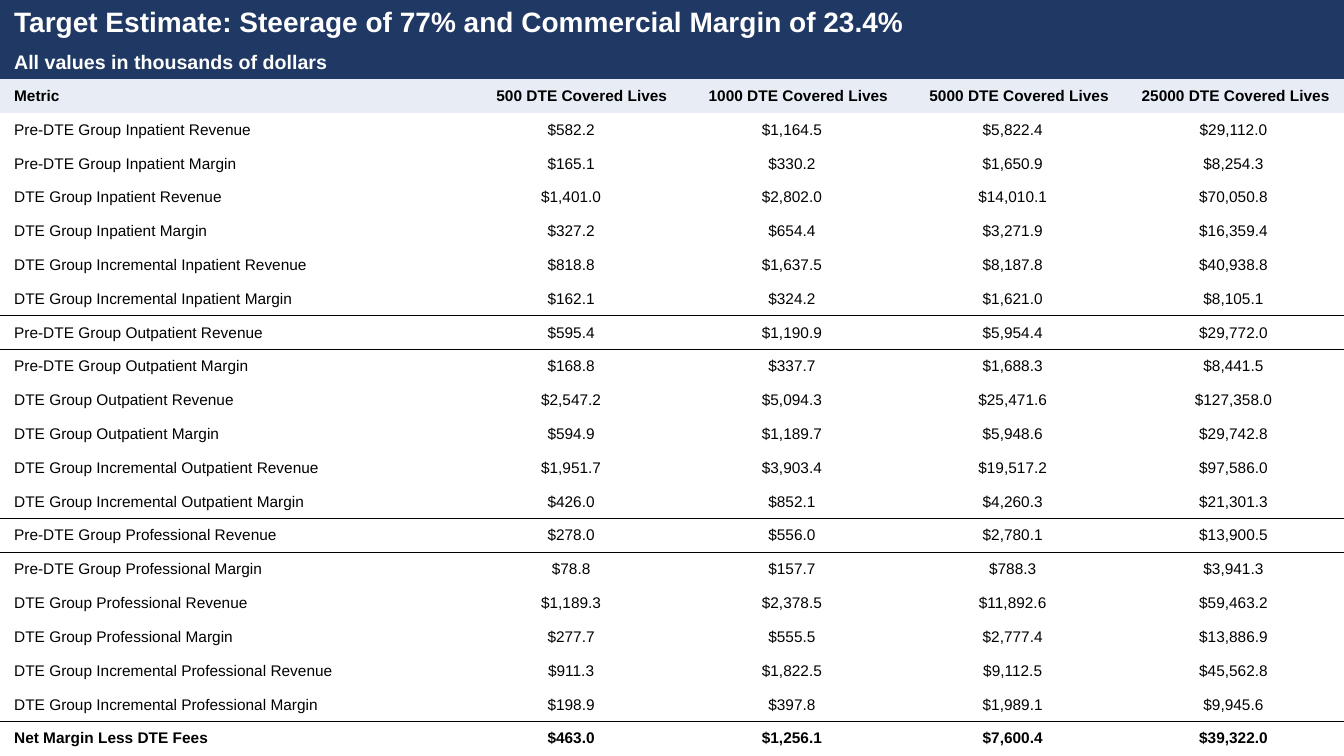
from itertools import product

from lxml import etree
from pptx import Presentation
from pptx.dml.color import RGBColor
from pptx.enum.text import MSO_ANCHOR, PP_ALIGN
from pptx.oxml.ns import qn
from pptx.util import Inches, Pt

LEFT, CENTER, RIGHT = PP_ALIGN.LEFT, PP_ALIGN.CENTER, PP_ALIGN.RIGHT
MIDDLE = MSO_ANCHOR.MIDDLE

COLORS = {"navy": "203864", "pale": "E7ECF5", "white": "FFFFFF", "black": "000000"}
PLAIN_TABLE_STYLE = "{2D5ABB26-0587-4C30-8999-92F81FD0307C}"
WIDTH, HEIGHT = 13.33, 7.5
METRIC_WIDTH = 4.57
TITLE_HEIGHT = 0.45

BANNERS = [
    ("Target Estimate: Steerage of 77% and Commercial Margin of 23.4%", 20),
    ("All values in thousands of dollars", 14),
]
COVERED_LIVES = [500, 1000, 5000, 25000]
SERVICES = ["Inpatient", "Outpatient", "Professional"]
STAGES = ["Pre-DTE Group", "DTE Group", "DTE Group Incremental"]
MEASURES = ["Revenue", "Margin"]
SERVICE_ROWS = len(STAGES) * len(MEASURES)
VALUES = [
    (582.2, 1164.5, 5822.4, 29112.0),
    (165.1, 330.2, 1650.9, 8254.3),
    (1401.0, 2802.0, 14010.1, 70050.8),
    (327.2, 654.4, 3271.9, 16359.4),
    (818.8, 1637.5, 8187.8, 40938.8),
    (162.1, 324.2, 1621.0, 8105.1),
    (595.4, 1190.9, 5954.4, 29772.0),
    (168.8, 337.7, 1688.3, 8441.5),
    (2547.2, 5094.3, 25471.6, 127358.0),
    (594.9, 1189.7, 5948.6, 29742.8),
    (1951.7, 3903.4, 19517.2, 97586.0),
    (426.0, 852.1, 4260.3, 21301.3),
    (278.0, 556.0, 2780.1, 13900.5),
    (78.8, 157.7, 788.3, 3941.3),
    (1189.3, 2378.5, 11892.6, 59463.2),
    (277.7, 555.5, 2777.4, 13886.9),
    (911.3, 1822.5, 9112.5, 45562.8),
    (198.9, 397.8, 1989.1, 9945.6),
    (463.0, 1256.1, 7600.4, 39322.0),
]


class SlideBuilder:
    font = "Arial"
    body_size = 11
    indent = Inches(0.14)

    def __init__(self, page):
        self.page = page

    def table(self, row_heights, column_widths):
        frame = self.page.shapes.add_table(
            len(row_heights), len(column_widths), 0, 0,
            Inches(sum(column_widths)), Inches(sum(row_heights)))
        for style in frame.element.iter(qn("a:tableStyleId")):
            style.text = PLAIN_TABLE_STYLE
        table = frame.table
        table.first_row = table.horz_banding = False
        for row, height in zip(table.rows, row_heights):
            row.height = Inches(height)
        for column, width in zip(table.columns, column_widths):
            column.width = Inches(width)
        return table

    def border(self, cell, side):
        line = etree.SubElement(cell._tc.get_or_add_tcPr(), qn(f"a:{side}"), w=str(Pt(1)))
        fill = etree.SubElement(line, qn("a:solidFill"))
        etree.SubElement(fill, qn("a:srgbClr"), val=COLORS["black"])

    def cell(self, cell, text, size=body_size, align=LEFT, bold=False,
             color="black", fill=None, borders=()):
        cell.margin_left = cell.margin_right = cell.margin_top = cell.margin_bottom = 0
        cell.vertical_anchor = MIDDLE
        for side in borders:
            self.border(cell, side)
        if fill:
            cell.fill.solid()
            cell.fill.fore_color.rgb = RGBColor.from_string(COLORS[fill])
        else:
            cell.fill.background()
        cell.text = text
        paragraph = cell.text_frame.paragraphs[0]
        properties = paragraph._p.get_or_add_pPr()
        properties.set("marL", str(self.indent))
        properties.set("marR", str(self.indent))
        paragraph.alignment = align
        paragraph.font.name = self.font
        paragraph.font.size = Pt(size)
        paragraph.font.bold = bold
        paragraph.font.color.rgb = RGBColor.from_string(COLORS[color])

    def row(self, table, index, texts, align, **style):
        for column, text in enumerate(texts):
            self.cell(table.cell(index, column), text,
                      align=align if column else LEFT, **style)

    def banner(self, table, index, text, size):
        first = table.cell(index, 0)
        first.merge(table.cell(index, len(table.columns) - 1))
        self.cell(first, text, size=size, bold=True, color="white", fill="navy")


def main():
    deck = Presentation()
    deck.slide_width, deck.slide_height = Inches(WIDTH), Inches(HEIGHT)
    builder = SlideBuilder(deck.slides.add_slide(deck.slide_layouts[6]))

    header_index = len(BANNERS)
    row_count = header_index + len(VALUES)
    row_height = (HEIGHT - TITLE_HEIGHT) / row_count
    value_width = (WIDTH - METRIC_WIDTH) / len(COVERED_LIVES)
    table = builder.table([TITLE_HEIGHT] + [row_height] * row_count,
                          [METRIC_WIDTH] + [value_width] * len(COVERED_LIVES))

    for index, (text, size) in enumerate(BANNERS):
        builder.banner(table, index, text, size)
    headings = ["Metric"] + [f"{lives} DTE Covered Lives" for lives in COVERED_LIVES]
    builder.row(table, header_index, headings, RIGHT, bold=True, fill="pale")

    metrics = [f"{stage} {service} {measure}"
               for service, stage, measure in product(SERVICES, STAGES, MEASURES)]
    metrics.append("Net Margin Less DTE Fees")
    last = len(metrics) - 1
    for index, (metric, values) in enumerate(zip(metrics, VALUES)):
        borders = []
        if index and index % SERVICE_ROWS == 0:
            borders.append("lnT")
        if (index + 1) % SERVICE_ROWS == 0:
            borders.append("lnB")
        texts = [metric] + [f"${value:,.1f}" for value in values]
        builder.row(table, header_index + 1 + index, texts, CENTER,
                    bold=index == last, borders=borders)

    deck.save("out.pptx")


if __name__ == "__main__":
    main()
